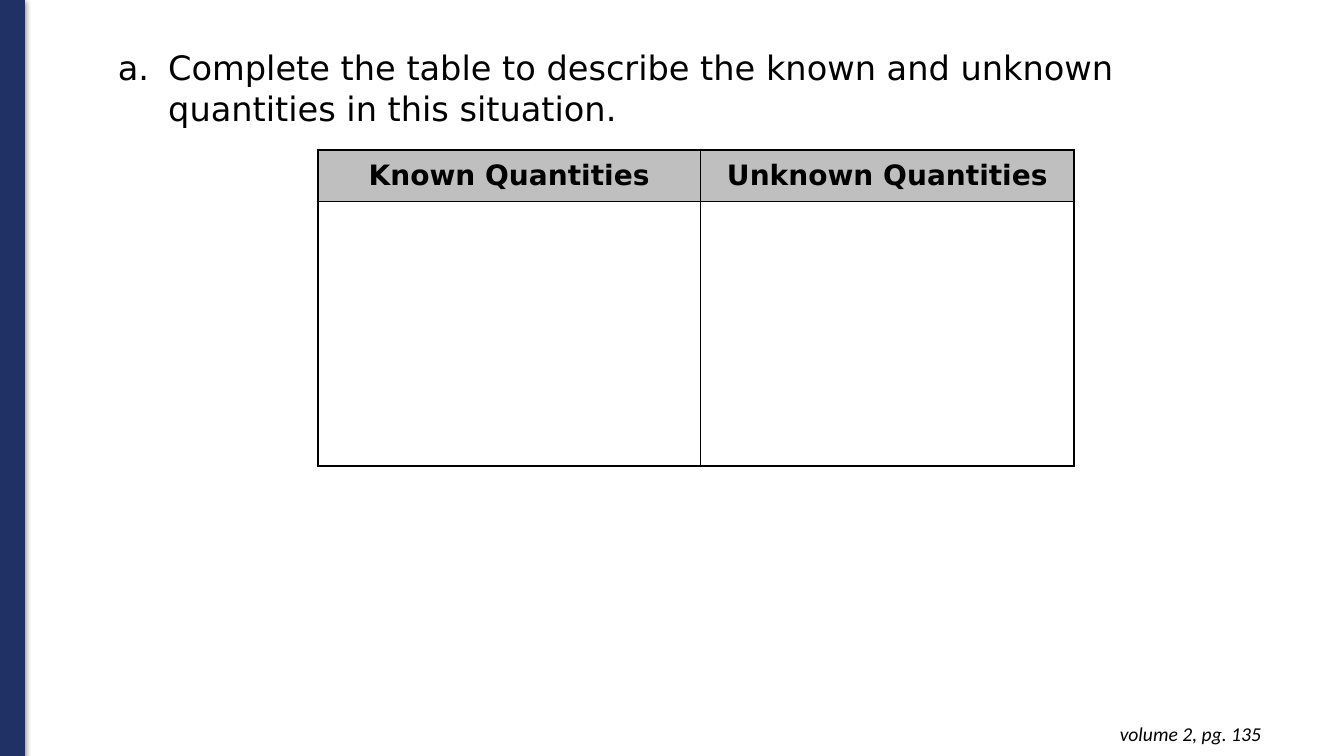
from dataclasses import dataclass

from lxml.etree import SubElement
from pptx import Presentation
from pptx.dml.color import RGBColor
from pptx.enum.shapes import MSO_SHAPE
from pptx.enum.text import MSO_ANCHOR, PP_ALIGN
from pptx.oxml.ns import qn
from pptx.slide import Slide
from pptx.table import _Cell
from pptx.text.text import _Paragraph
from pptx.util import Pt

COLORS = {"navy": "1F3165", "black": "000000", "gray": "BFBFBF"}
HEADINGS = ("Known Quantities", "Unknown Quantities")
COLUMN_WIDTHS = (273.4, 267)
ROW_HEIGHTS = (36.7, 188.8)


@dataclass(frozen=True)
class TextStyle:
    font: str
    size: float
    bold: bool = False
    italic: bool = False
    align: PP_ALIGN = PP_ALIGN.LEFT


@dataclass(frozen=True)
class Label:
    text: str
    left: float
    top: float
    width: float
    height: float
    margin_y: float
    style: TextStyle
    bullet: bool = False


HEADING_STYLE = TextStyle("DejaVu Sans", 20, bold=True, align=PP_ALIGN.CENTER)
LABELS = (
    Label("Complete the table to describe the known and unknown "
          "quantities in this situation.", 41.8, 30.2, 828, 65.5, 3.6,
          TextStyle("DejaVu Sans", 24), bullet=True),
    Label("volume 2, pg. 135", 700.6, 508.3, 207.4, 31.7, 7.2,
          TextStyle("Calibri", 14, italic=True, align=PP_ALIGN.RIGHT)),
)


def color(name: str) -> RGBColor:
    return RGBColor.from_string(COLORS[name])


def format_paragraph(para: _Paragraph, style: TextStyle) -> None:
    para.alignment = style.align
    para.font.name = style.font
    para.font.size = Pt(style.size)
    para.font.bold = style.bold
    para.font.italic = style.italic
    para.font.color.rgb = color("black")


def add_letter_bullet(para: _Paragraph) -> None:
    """Number the paragraph a., b., c. with a hanging indent."""
    properties = para._p.get_or_add_pPr()
    properties.set("marL", str(Pt(71.3)))
    properties.set("indent", str(Pt(-36)))
    SubElement(properties, qn("a:buFont"), typeface="+mj-lt")
    SubElement(properties, qn("a:buAutoNum"), type="alphaLcPeriod")


def add_label(page: Slide, label: Label) -> None:
    box = page.shapes.add_textbox(
        Pt(label.left), Pt(label.top), Pt(label.width), Pt(label.height))
    frame = box.text_frame
    frame.word_wrap = True
    frame.margin_left = frame.margin_right = Pt(7.2)
    frame.margin_top = frame.margin_bottom = Pt(label.margin_y)
    para = frame.paragraphs[0]
    para.text = label.text
    if label.bullet:
        add_letter_bullet(para)
    format_paragraph(para, label.style)


def add_side_bar(page: Slide) -> None:
    bar = page.shapes.add_shape(MSO_SHAPE.RECTANGLE, 0, 0, Pt(17.3), Pt(540.7))
    bar.fill.solid()
    bar.fill.fore_color.rgb = color("navy")
    bar.line.color.rgb = color("navy")
    bar.line.width = Pt(0.75)
    bar.shadow.inherit = False
    effects = bar._element.spPr.find(qn("a:effectLst"))
    shadow = SubElement(effects, qn("a:outerShdw"), blurRad=str(Pt(4.5)),
                        dist=str(Pt(1.5)), dir="5400000", rotWithShape="0")
    shade = SubElement(shadow, qn("a:srgbClr"), val=COLORS["black"])
    SubElement(shade, qn("a:alpha"), val="50000")


def add_borders(cell: _Cell) -> None:
    """Outline all four sides; call before the cell fill is set."""
    properties = cell._tc.get_or_add_tcPr()
    for side in ("lnL", "lnR", "lnT", "lnB"):
        line = SubElement(properties, qn(f"a:{side}"), w=str(Pt(1.5)))
        fill = SubElement(line, qn("a:solidFill"))
        SubElement(fill, qn("a:srgbClr"), val=COLORS["black"])


def add_quantity_table(page: Slide) -> None:
    table = page.shapes.add_table(
        len(ROW_HEIGHTS), len(COLUMN_WIDTHS), Pt(227), Pt(107.3),
        Pt(sum(COLUMN_WIDTHS)), Pt(sum(ROW_HEIGHTS))).table
    table.horz_banding = False
    for column, width in zip(table.columns, COLUMN_WIDTHS):
        column.width = Pt(width)
    for row, height in zip(table.rows, ROW_HEIGHTS):
        row.height = Pt(height)
    for cell in table.iter_cells():
        add_borders(cell)
        cell.fill.background()
    for cell, heading in zip(table.rows[0].cells, HEADINGS):
        cell.fill.solid()
        cell.fill.fore_color.rgb = color("gray")
        cell.vertical_anchor = MSO_ANCHOR.MIDDLE
        para = cell.text_frame.paragraphs[0]
        para.text = heading
        format_paragraph(para, HEADING_STYLE)


def main() -> None:
    deck = Presentation()
    deck.slide_width, deck.slide_height = Pt(960), Pt(540)
    page = deck.slides.add_slide(deck.slide_layouts.get_by_name("Blank"))
    add_side_bar(page)
    for label in LABELS:
        add_label(page, label)
    add_quantity_table(page)
    deck.save("out.pptx")


if __name__ == "__main__":
    main()
